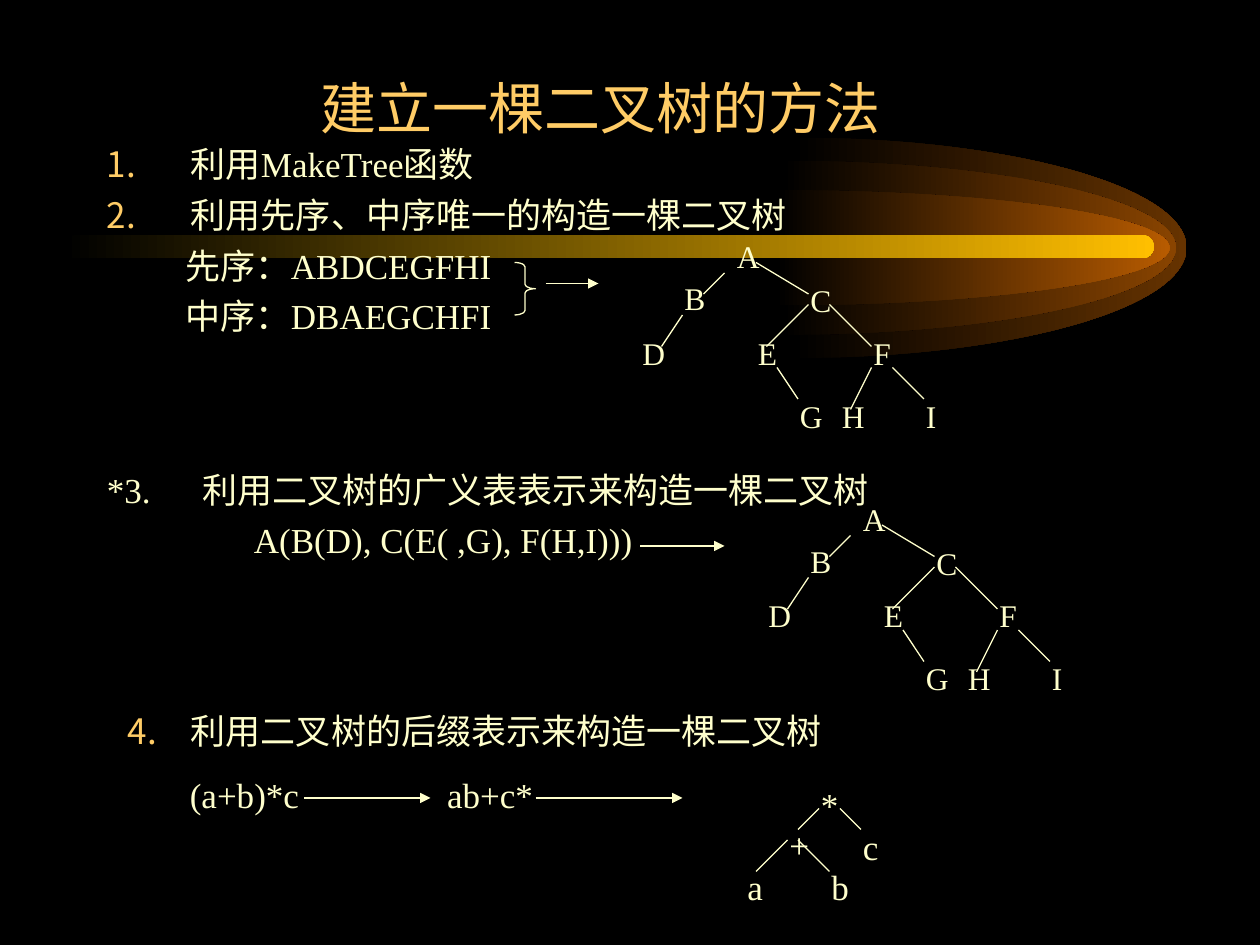
"""Build a slide on four ways to construct a binary tree."""
from lxml import etree
from pptx import Presentation
from pptx.dml.color import RGBColor
from pptx.enum.shapes import MSO_CONNECTOR, MSO_SHAPE
from pptx.enum.text import MSO_ANCHOR
from pptx.oxml.ns import qn
from pptx.util import Pt

STRAIGHT = MSO_CONNECTOR.STRAIGHT
ROUNDED = MSO_SHAPE.ROUNDED_RECTANGLE
BRACE = MSO_SHAPE.RIGHT_BRACE
TOP, BOTTOM = MSO_ANCHOR.TOP, MSO_ANCHOR.BOTTOM
PX = 7620
THEME = {
    "font": "Times New Roman",
    "background": "000000",
    "title": "FFCC66",
    "text": "FFFFCC",
    "bar": "FFBF00",
    "glow": ("663300", "894400", "B75B00"),
    "title_size": Pt(32),
    "text_size": Pt(20),
    "node_size": Pt(18),
    "line_width": Pt(0.75),
}


def add_text(bounds, paragraphs, size, colour=THEME["text"], anchor=TOP):
    box = slide.shapes.add_textbox(*(value * PX for value in bounds))
    frame = box.text_frame
    for name, value in {"word_wrap": True, "vertical_anchor": anchor}.items():
        setattr(frame, name, value)
    for index, (text, layout) in enumerate(paragraphs):
        paragraph = frame.paragraphs[0] if index == 0 else frame.add_paragraph()
        properties = paragraph._p.get_or_add_pPr()
        for name in ("marL", "indent"):
            if name in layout:
                properties.set(name, str(layout[name] * PX))
        if "number" in layout:
            bullet_colour = etree.SubElement(properties, qn("a:buClr"))
            etree.SubElement(bullet_colour, qn("a:srgbClr"), val=THEME["title"])
            etree.SubElement(properties, qn("a:buAutoNum"), type="arabicPeriod",
                             startAt=str(layout["number"]))
        if "tabs" in layout:
            tabs = etree.SubElement(properties, qn("a:tabLst"))
            for position in layout["tabs"]:
                etree.SubElement(tabs, qn("a:tab"), pos=str(position * PX), algn="l")
        if "before" in layout:
            paragraph.space_before = Pt(layout["before"])
        run = paragraph.add_run()
        run.text = text
        for name, value in {"name": THEME["font"], "size": size}.items():
            setattr(run.font, name, value)
        run.font.color.rgb = RGBColor.from_string(colour)


def add_line(start_x, start_y, end_x, end_y, arrow=False):
    ends = (start_x, start_y, end_x, end_y)
    connector = slide.shapes.add_connector(STRAIGHT, *(value * PX for value in ends))
    connector.line.color.rgb = RGBColor.from_string(THEME["text"])
    connector.line.width = THEME["line_width"]
    if arrow:
        etree.SubElement(connector.line._get_or_add_ln(), qn("a:tailEnd"), type="triangle")
    etree.SubElement(connector._element.spPr, qn("a:effectLst"))


presentation = Presentation()
presentation.slide_width = 1200 * PX
presentation.slide_height = 900 * PX
slide = presentation.slides.add_slide(presentation.slide_layouts[6])
slide.background.fill.solid()
slide.background.fill.fore_color.rgb = RGBColor.from_string(THEME["background"])

comet = []
center_y, reach, bend = 236, 375, 0.55
for left, half, colour in zip((755, 745, 739), (105, 83, 55), THEME["glow"]):
    builder = slide.shapes.build_freeform(left, center_y - half, scale=PX)
    builder.add_line_segments([(left + reach, center_y), (left, center_y + half)])
    glow = builder.convert_to_shape()
    controls = (
        ((bend * reach, 0), (reach, half * (1 - bend))),
        ((reach, half * (1 + bend)), (bend * reach, 2 * half)),
    )
    segments = list(glow._element.iter(qn("a:lnTo")))
    for segment, handles in zip(segments, controls):
        curve = etree.Element(qn("a:cubicBezTo"))
        for x, y in handles:
            etree.SubElement(curve, qn("a:pt"), x=str(round(x)), y=str(round(y)))
        curve.append(segment[0])
        segment.getparent().replace(segment, curve)
    comet.append((glow, colour))
bar = slide.shapes.add_shape(ROUNDED, 60 * PX, 224 * PX, 1039 * PX, 22 * PX)
bar.adjustments[0] = 0.5
comet.append((bar, THEME["bar"]))
for shape, colour in comet:
    shape.shadow.inherit = False
    shape.line.fill.background()
    shape.fill.gradient()
    shape.fill.gradient_angle = 0
    for stop, stop_colour in zip(shape.fill.gradient_stops, (THEME["background"], colour)):
        stop.color.rgb = RGBColor.from_string(stop_colour)

add_text((90, 50, 1020, 90), [("建立一棵二叉树的方法", {"marL": 203, "indent": 0})],
         THEME["title_size"], THEME["title"], BOTTOM)
add_text((90, 130, 1020, 300), [
    ("利用MakeTree函数", {"marL": 80, "indent": -80, "number": 1}),
    ("利用先序、中序唯一的构造一棵二叉树",
     {"marL": 80, "indent": -80, "number": 2, "before": 5}),
    ("先序：ABDCEGFHI", {"marL": 75, "indent": 0, "before": 5}),
    ("中序：DBAEGCHFI", {"marL": 75, "indent": 0, "before": 5}),
], THEME["text_size"])
add_text((90, 440, 1040, 149), [
    ("*3.\t利用二叉树的广义表表示来构造一棵二叉树", {"tabs": (91,)}),
    ("A(B(D), C(E( ,G), F(H,I)))", {"marL": 140, "indent": 0, "before": 5}),
], THEME["text_size"])
add_text((110, 670, 780, 113), [
    ("利用二叉树的后缀表示来构造一棵二叉树", {"marL": 60, "indent": -60, "number": 4}),
    ("\t(a+b)*c\tab+c*", {"tabs": (59, 304), "before": 12.5}),
], THEME["text_size"])

brace = slide.shapes.add_shape(BRACE, 490 * PX, 250 * PX, 20 * PX, 50 * PX)
brace.adjustments[0] = 0.21
brace.shadow.inherit = False
brace.fill.background()
brace.line.color.rgb = RGBColor.from_string(THEME["text"])
brace.line.width = THEME["line_width"]

for start_x, end_x, y in ((520, 570, 270), (610, 690, 520), (290, 410, 760), (510, 650, 760)):
    add_line(start_x, y, end_x, y, arrow=True)

letter_nodes = {
    "A": (90, 0), "B": (40, 40), "C": (160, 42), "D": (0, 92), "E": (110, 92),
    "F": (220, 92), "G": (150, 152), "H": (190, 152), "I": (270, 152),
}
letter_edges = (
    (90, 40, 70, 60), (50, 80, 30, 110), (170, 70, 130, 110), (230, 130, 210, 170),
    (120, 30, 170, 60), (190, 70, 230, 110), (250, 130, 280, 160), (140, 130, 160, 160),
)
formula_nodes = {"*": (70, 0), "+": (40, 38), "c": (110, 40), "a": (0, 78), "b": (80, 78)}
formula_edges = ((80, 30, 60, 50), (50, 60, 20, 90), (60, 60, 90, 90), (100, 30, 120, 50))
trees = (
    (600, 220, letter_nodes, letter_edges, (50, 48), THEME["node_size"]),
    (720, 470, letter_nodes, letter_edges, (50, 48), THEME["node_size"]),
    (700, 740, formula_nodes, formula_edges, (40, 53), THEME["text_size"]),
)
for left, top, nodes, edges, node_box, size in trees:
    for label, (x, y) in nodes.items():
        add_text((left + x, top + y, *node_box), [(label, {})], size)
    for start_x, start_y, end_x, end_y in edges:
        add_line(left + start_x, top + start_y, left + end_x, top + end_y)

presentation.save("out.pptx")
